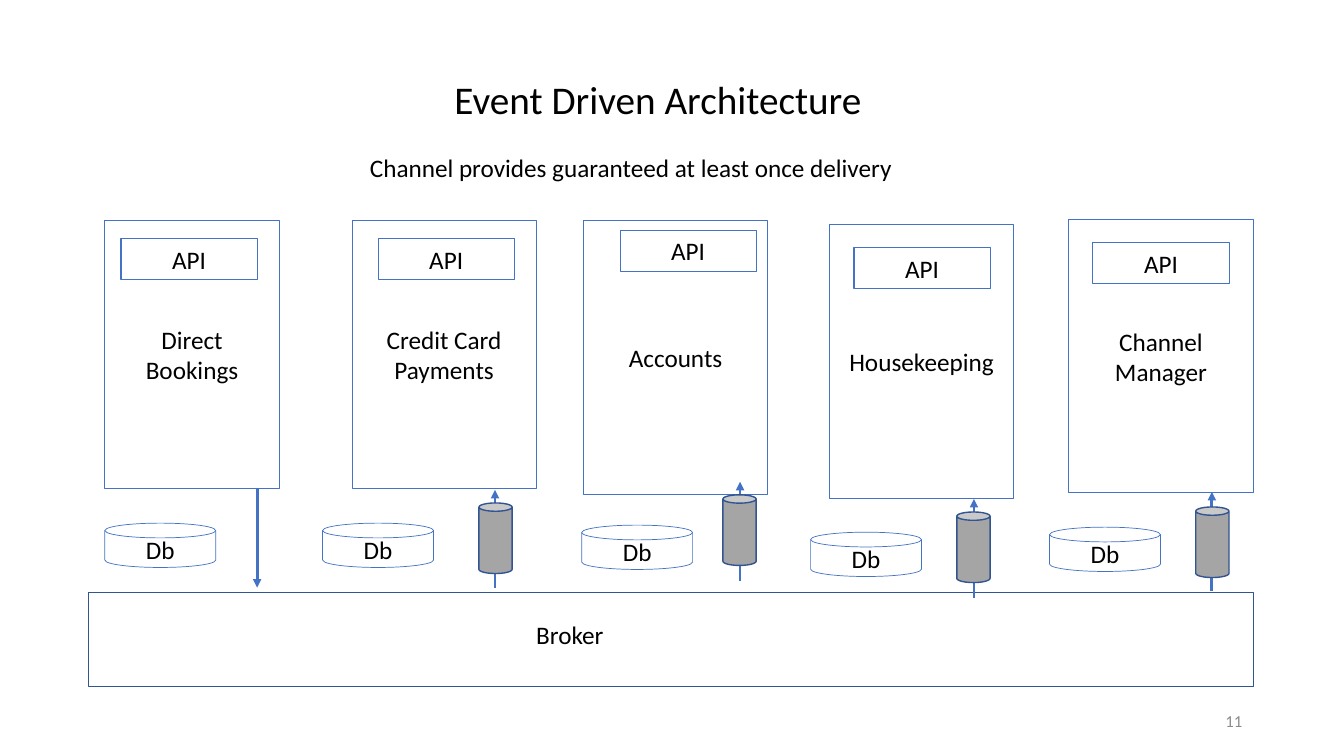
from lxml import etree
from pptx import Presentation
from pptx.dml.color import RGBColor
from pptx.enum.shapes import MSO_CONNECTOR, MSO_SHAPE
from pptx.enum.text import MSO_ANCHOR, MSO_AUTO_SIZE, PP_ALIGN
from pptx.oxml.ns import qn
from pptx.util import Pt

PX = 9144  # 100 px to the inch
COLORS = {"blue": "4472C4", "navy": "325491", "gray": "A5A5A5",
          "black": "000000", "number": "8C8C8C"}

presentation = Presentation()
presentation.slide_width = 1333 * PX
presentation.slide_height = 750 * PX
slide = presentation.slides.add_slide(presentation.slide_layouts[6])


def add_box(text, left, top, width, height, preset=None, line="blue", line_width=0.5,
            fill=None, size=18, color="black", align=PP_ALIGN.CENTER,
            anchor=MSO_ANCHOR.MIDDLE, wrap=True, grow=False):
    """Add a preset shape, or a text box when no preset is given."""
    place = [length * PX for length in (left, top, width, height)]
    if preset is None:
        shape = slide.shapes.add_textbox(*place)
    else:
        shape = slide.shapes.add_shape(preset, *place)
        shape.shadow.inherit = False
        shape.line.color.rgb = RGBColor.from_string(COLORS[line])
        shape.line.width = Pt(line_width)
        if fill:
            shape.fill.solid()
            shape.fill.fore_color.rgb = RGBColor.from_string(COLORS[fill])
        else:
            shape.fill.background()
    if not text:
        return
    frame = shape.text_frame
    frame.text = text
    frame.word_wrap = wrap
    frame.vertical_anchor = anchor
    if grow:
        frame.auto_size = MSO_AUTO_SIZE.SHAPE_TO_FIT_TEXT
    for paragraph in frame.paragraphs:
        paragraph.alignment = align
        paragraph.font.name = "Calibri"
        paragraph.font.size = Pt(size)
        paragraph.font.color.rgb = RGBColor.from_string(COLORS[color])


def add_arrow(x, start, end):
    arrow = slide.shapes.add_connector(
        MSO_CONNECTOR.STRAIGHT, x * PX, start * PX, x * PX, end * PX)
    arrow.line.color.rgb = RGBColor.from_string(COLORS["blue"])
    arrow.line.width = Pt(2)
    properties = arrow.line._get_or_add_ln()
    etree.SubElement(properties, qn("a:tailEnd"), type="triangle")
    etree.SubElement(arrow._element.spPr, qn("a:effectLst"))


add_box("Event Driven Architecture", 290, 70, 725, 57, size=28,
        anchor=MSO_ANCHOR.TOP, grow=True)
add_box("Channel provides guaranteed at least once delivery", 357, 146, 551, 40,
        align=PP_ALIGN.LEFT, anchor=MSO_ANCHOR.TOP, grow=True)

add_box("", 88, 588, 1155, 93, MSO_SHAPE.RECTANGLE, line="navy", line_width=1)
add_box("Broker", 522, 609, 88, 40, align=PP_ALIGN.LEFT,
        anchor=MSO_ANCHOR.TOP, wrap=False, grow=True)

# name, service box, API position, Db position, arrow (x, start, end), channel position
services = [
    ("Direct\nBookings", (104, 219, 173, 266), (120, 237), (104, 519),
     (255, 485, 583), None),
    ("Credit Card\nPayments", (349, 219, 183, 266), (375, 237), (320, 519),
     (491, 583, 486), (475, 499)),
    ("Accounts", (579, 219, 182, 271), (615, 229), (577, 521),
     (734, 576, 478), (717, 491)),
    ("Housekeeping", (823, 223, 182, 271), (847, 246), (804, 528),
     (966, 593, 495), (949, 508)),
    ("Channel Manager", (1060, 218, 183, 271), (1084, 241), (1041, 523),
     (1202, 586, 488), (1186, 503)),
]
for name, service, api, database, arrow, channel in services:
    add_box(name, *service, MSO_SHAPE.RECTANGLE)
    add_box("API", *api, 135, 40, MSO_SHAPE.RECTANGLE, line_width=0.75,
            anchor=MSO_ANCHOR.TOP, grow=True)
    add_box("Db", *database, 110, 44, MSO_SHAPE.FLOWCHART_MAGNETIC_DISK)
    add_arrow(*arrow)
    if channel:
        add_box("", *channel, 33, 70, MSO_SHAPE.CAN, line="navy", line_width=1, fill="gray")

add_box("11", 942, 695, 300, 40, size=12, color="number", align=PP_ALIGN.RIGHT)

presentation.save("out.pptx")
